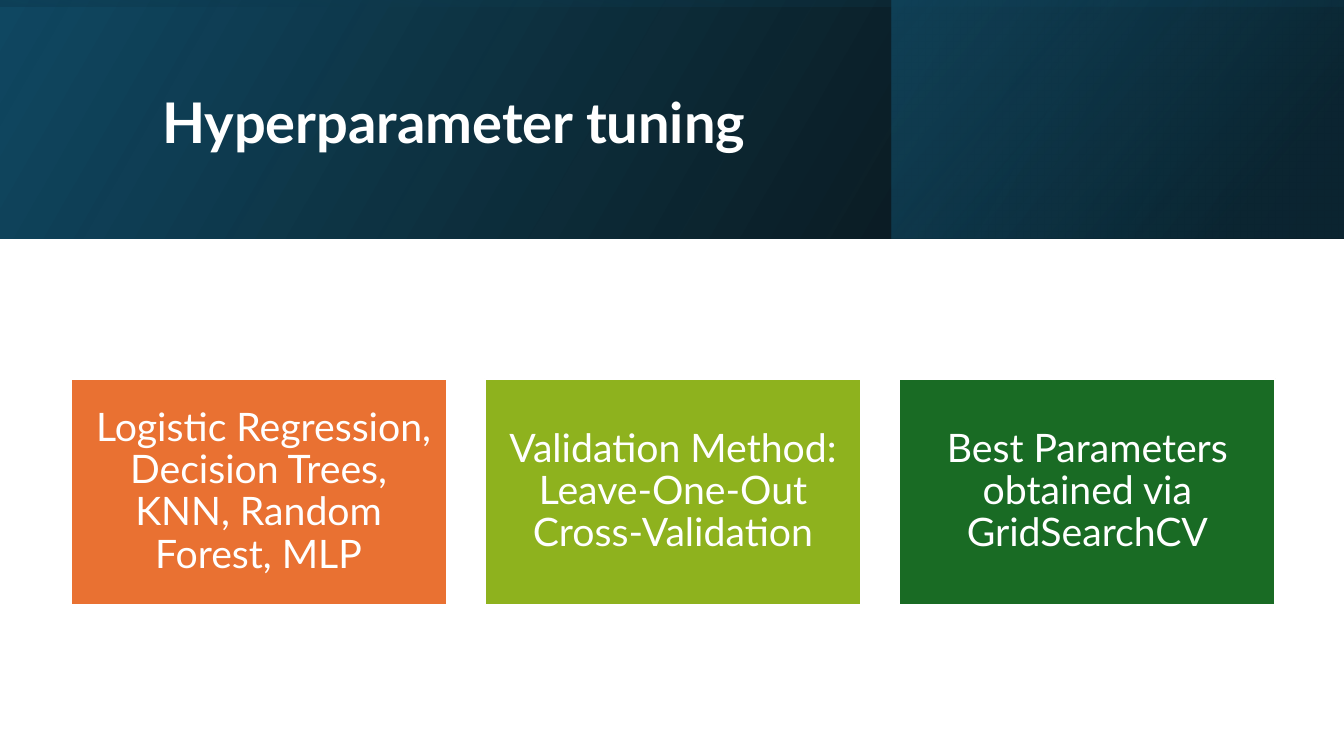
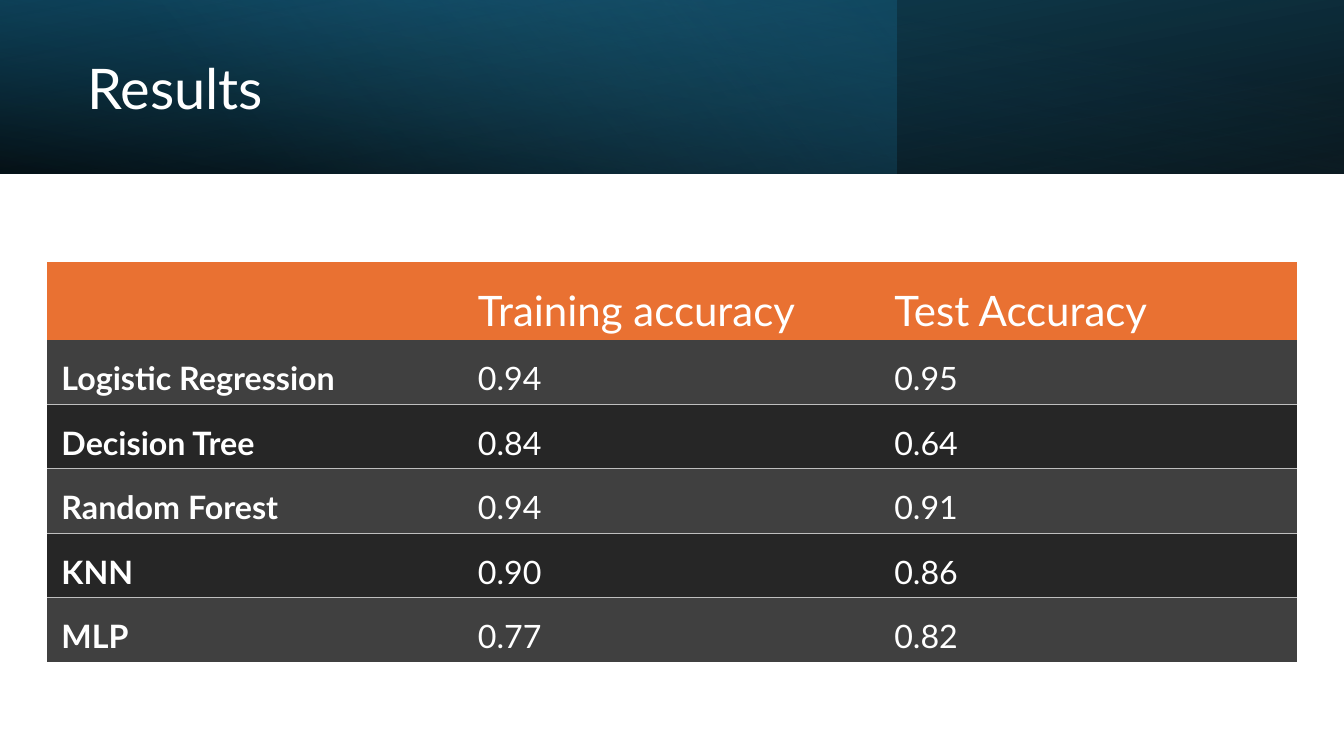
"""Builds two slides on model tuning and its results."""
from lxml import etree
from pptx import Presentation
from pptx import util as u
from pptx.dml import color as dml
from pptx.enum import shapes, text
from pptx.oxml import ns

PX = 9144
WIDTH, HEIGHT = 1333, 750
FONT = "Lato"
WHITE, BLACK, ORANGE = "FFFFFF", "000000", "E97132"
LIME, GREEN = "8EB21E", "196B24"
NAVY, TEAL, DEEP_TEAL, SKY = "104862", "156082", "0B3041", "46B1E1"
ROW_LIGHT, ROW_DARK, RULE = "404040", "262626", "BFBFBF"
PLAIN_TABLE = "{2D5ABB26-0587-4C30-8999-92F81FD0307C}"


def px(length):
    """Turn whole px into EMU."""
    return u.Emu(length * PX)


def rgb(code):
    """Turn a hex string into a colour."""
    return dml.RGBColor.from_string(code)


class Deck:
    """Holds the shared style and the current slide."""

    def __init__(self):
        """Start an empty wide presentation."""
        self.show = Presentation()
        self.show.slide_width, self.show.slide_height = px(WIDTH), px(HEIGHT)
        self.slide = None

    def new_slide(self):
        """Add a blank slide and make it current."""
        self.slide = self.show.slides.add_slide(self.show.slide_layouts[6])

    def set_words(self, frame, words, size, bold=False, align=None, spacing=None):
        """Put one styled paragraph into a text frame."""
        frame.text = words
        paragraph = frame.paragraphs[0]
        paragraph.alignment = align
        paragraph.line_spacing = spacing
        for run in paragraph.runs:
            run.font.name, run.font.size = FONT, u.Pt(size)
            run.font.bold, run.font.color.rgb = bold, rgb(WHITE)

    def rectangle(self, box):
        """Add a rectangle without shadow."""
        shape = self.slide.shapes.add_shape(
            shapes.MSO_SHAPE.RECTANGLE, *map(px, box))
        shape.shadow.inherit = False
        return shape

    def band(self, box, stops, angle, flip=True, rotation=0):
        """Add one see-through gradient layer of the header."""
        layer = self.rectangle(box)
        layer.line.fill.background()
        layer.rotation = rotation
        if flip:
            layer.element.spPr.find(ns.qn("a:xfrm")).set("flipH", "1")
        layer.fill.gradient()
        layer.fill.gradient_angle = 360 - angle
        for stop, (position, code, _) in zip(layer.fill.gradient_stops, stops):
            stop.position = position / 100
            stop.color.rgb = rgb(code)
        tints = layer.element.spPr.iter(ns.qn("a:srgbClr"))
        for tint, (_, _, opacity) in zip(list(tints), stops):
            etree.SubElement(tint, ns.qn("a:alpha"), val=str(opacity * 1000))

    def title(self, box, words, bold=False):
        """Add the slide title."""
        frame = self.slide.shapes.add_textbox(*map(px, box)).text_frame
        frame.word_wrap = True
        frame.vertical_anchor = text.MSO_ANCHOR.MIDDLE
        self.set_words(frame, words, 40, bold, spacing=0.9)

    def card(self, box, words, code):
        """Add a filled box with centred text."""
        card = self.rectangle(box)
        card.fill.solid()
        card.fill.fore_color.rgb = rgb(code)
        card.line.color.rgb, card.line.width = rgb(WHITE), u.Pt(1.5)
        frame = card.text_frame
        frame.word_wrap = True
        frame.vertical_anchor = text.MSO_ANCHOR.MIDDLE
        frame.margin_left = frame.margin_right = px(12)
        frame.margin_top = frame.margin_bottom = px(12)
        self.set_words(frame, words, 28, align=text.PP_ALIGN.CENTER, spacing=0.9)

    def rule(self, cell, side):
        """Draw a thin line on one side of a table cell."""
        line = etree.Element(ns.qn(side), w=str(u.Pt(1)))
        fill = etree.SubElement(line, ns.qn("a:solidFill"))
        etree.SubElement(fill, ns.qn("a:srgbClr"), val=RULE)
        cell._tc.get_or_add_tcPr().insert(0, line)

    def cell(self, cell, words, code, size, bold, anchor):
        """Fill one table cell and set its text."""
        cell.fill.solid()
        cell.fill.fore_color.rgb = rgb(code)
        cell.margin_left = cell.margin_right = px(14)
        cell.margin_top, cell.margin_bottom = px(19), px(0)
        cell.vertical_anchor = anchor
        self.set_words(cell.text_frame, words, size, bold, text.PP_ALIGN.JUSTIFY)

    def table(self, box, rows, header_height, row_height):
        """Add a striped table with a rule inside each full pair of rows."""
        grid = self.slide.shapes.add_table(
            len(rows), len(rows[0]), *map(px, box)).table
        grid.first_row = grid.horz_banding = False
        grid._tbl.tblPr.find(ns.qn("a:tableStyleId")).text = PLAIN_TABLE
        for r, entries in enumerate(rows):
            header, odd = r == 0, r % 2 == 1
            grid.rows[r].height = px(header_height if header else row_height)
            stripe = ROW_LIGHT if odd else ROW_DARK
            for c, words in enumerate(entries):
                cell = grid.cell(r, c)
                if header:
                    self.cell(cell, words, ORANGE, 30, False,
                              text.MSO_ANCHOR.MIDDLE)
                    continue
                self.cell(cell, words, stripe, 23, c == 0, text.MSO_ANCHOR.TOP)
                if not odd:
                    self.rule(cell, "a:lnT")
                elif r < len(rows) - 1:
                    self.rule(cell, "a:lnB")


def tuning(deck):
    """Build the slide on hyperparameter tuning."""
    deck.new_slide()
    depth = 237
    offset = (WIDTH - depth) // 2
    deck.band((0, 0, WIDTH, depth), [(0, BLACK, 96), (100, NAVY, 100)], 330)
    deck.band((884, 0, WIDTH - 884, depth),
              [(19, DEEP_TEAL, 68), (100, TEAL, 48)], 320)
    deck.band((offset, -offset, depth, WIDTH),
              [(23, NAVY, 16), (99, BLACK, 45)], 350, rotation=270)
    deck.title((151, 38, 1063, 172), "Hyperparameter tuning", bold=True)
    cards = [
        (" Logistic Regression, Decision Trees, KNN, Random Forest, MLP", ORANGE),
        ("Validation Method: Leave-One-Out Cross-Validation", LIME),
        ("Best Parameters obtained via GridSearchCV", GREEN),
    ]
    for i, (words, code) in enumerate(cards):
        deck.card((70 + i * 411, 376, 373, 224), words, code)


def results(deck):
    """Build the slide with the accuracy table."""
    deck.new_slide()
    depth = 172
    full = (0, 0, WIDTH, depth)
    deck.band(full, [(0, BLACK, 96), (100, NAVY, 100)], 100, rotation=180)
    deck.band((0, 0, 889, depth), [(0, TEAL, 41), (74, SKY, 0)], 140, flip=False)
    deck.band(full, [(0, BLACK, 63), (78, TEAL, 15)], 260)
    deck.title((77, 27, 772, 127), "Results")
    rows = [
        ("", "Training accuracy", "Test Accuracy"),
        ("Logistic Regression", "0.94", "0.95"),
        ("Decision Tree", "0.84", "0.64"),
        ("Random Forest", "0.94", "0.91"),
        ("KNN", "0.90", "0.86"),
        ("MLP", "0.77", "0.82"),
    ]
    deck.table((47, 260, 1239, 397), rows, 77, 64)


def main():
    """Build and save the presentation."""
    deck = Deck()
    tuning(deck)
    results(deck)
    deck.show.save("out.pptx")


if __name__ == "__main__":
    main()
